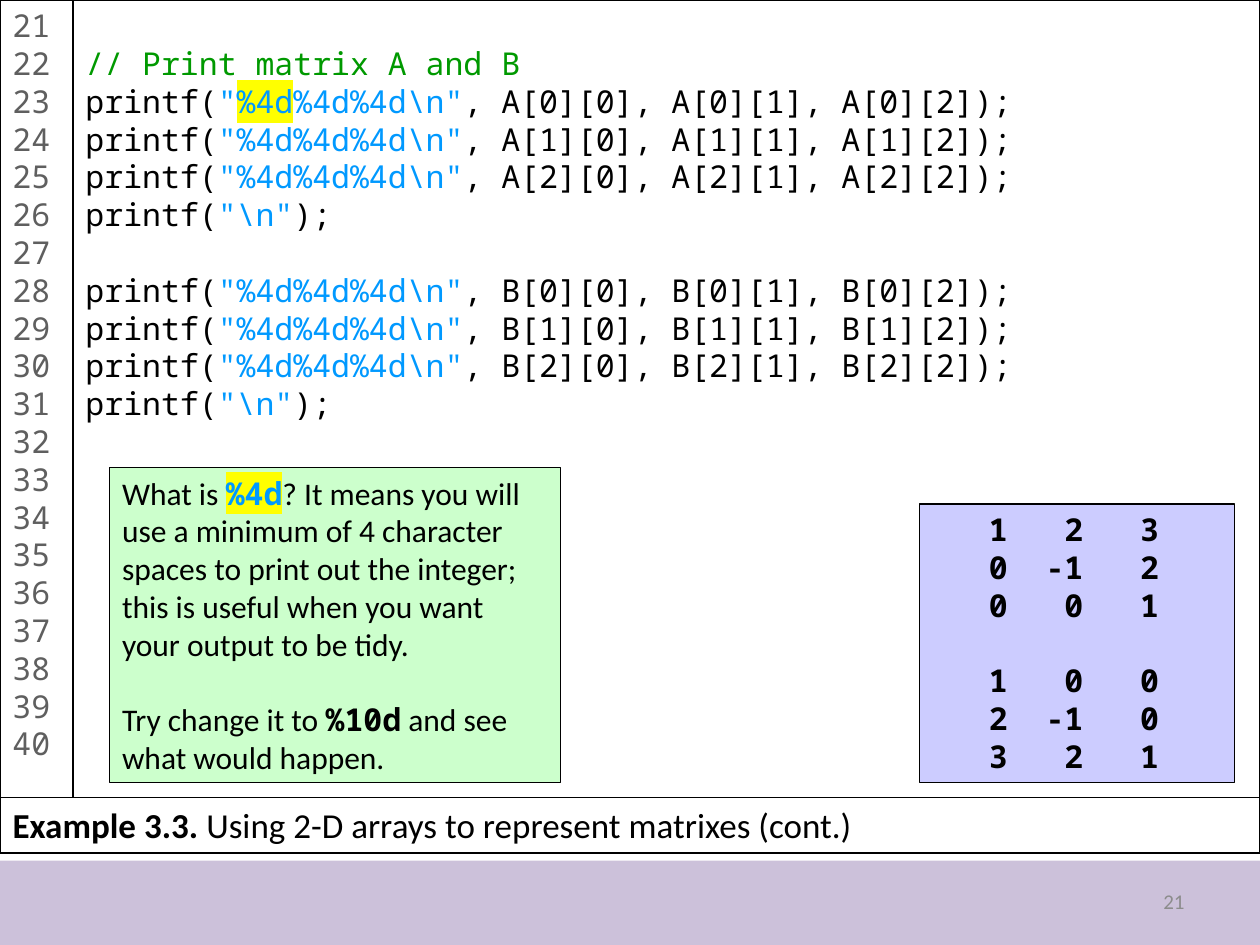
from dataclasses import dataclass

from lxml.etree import SubElement
from pptx import Presentation
from pptx.dml.color import RGBColor
from pptx.enum.shapes import MSO_SHAPE
from pptx.enum.text import MSO_ANCHOR, MSO_AUTO_SIZE, PP_ALIGN
from pptx.oxml.ns import qn
from pptx.util import Inches, Pt

MONO, SANS = "Noto Sans Mono", "Calibri"
BLACK, BLUE, YELLOW = "000000", "0099FF", "FFFF00"
PITCH = 21.6  # line pitch in points for 18 pt text


@dataclass
class Run:
    text: str
    color: str = BLACK
    font: str = MONO
    bold: bool = False
    size: float = 18
    mark: str = ""


@dataclass
class Box:
    left: float
    top: float
    width: float
    height: float
    fill: str = ""
    line: str = BLACK


Lines = list[list[Run]]


def paint(color, value: str) -> None:
    color.rgb = RGBColor.from_string(value)


def style(shape, box: Box) -> None:
    """Place a shape and give it its fill and outline."""
    for name in ("left", "top", "width", "height"):
        setattr(shape, name, Inches(getattr(box, name)))
    if box.fill:
        shape.fill.solid()
        paint(shape.fill.fore_color, box.fill)
    else:
        shape.fill.background()
    if box.line:
        paint(shape.line.color, box.line)
        shape.line.width = Pt(0.75)
    else:
        shape.line.fill.background()


def add_run(para, part: Run) -> None:
    run = para.add_run()
    run.text = part.text
    form = {"name": part.font, "size": Pt(part.size), "bold": part.bold}
    for name, value in form.items():
        setattr(run.font, name, value)
    paint(run.font.color, part.color)
    if part.mark:
        props = run.font._element
        light = SubElement(props, qn("a:highlight"))
        SubElement(light, qn("a:srgbClr"), val=part.mark)
        props.find(qn("a:solidFill")).addnext(light)


def write(shape, lines: Lines, pitch: float = 0, **form) -> None:
    """Write one paragraph per line; form overrides frame settings."""
    frame = shape.text_frame
    base = {"word_wrap": True, "auto_size": MSO_AUTO_SIZE.NONE,
            "vertical_anchor": MSO_ANCHOR.TOP}
    align = form.pop("align", PP_ALIGN.LEFT)
    for name, value in (base | form).items():
        setattr(frame, name, value)
    for i, line in enumerate(lines):
        para = frame.add_paragraph() if i else frame.paragraphs[0]
        para.alignment = align
        if pitch:
            para.line_spacing = Pt(pitch)
        if not line:
            para.font.size = Pt(18)
        for part in line:
            add_run(para, part)


def add_box(slide, box: Box, lines: Lines, **form) -> None:
    shape = slide.shapes.add_shape(MSO_SHAPE.RECTANGLE, 0, 0, 0, 0)
    shape.shadow.inherit = False
    style(shape, box)
    write(shape, lines, PITCH, **form)


def call(text: list[Run], args: str = "") -> list[Run]:
    """A printf line with its format string in blue."""
    return [Run("printf("), *text, Run(args + ");")]


def block(name: str) -> Lines:
    """The printf lines for one 3 by 3 matrix."""
    rows = []
    for i in range(3):
        args = "".join(f", {name}[{i}][{j}]" for j in range(3))
        rows.append(call([Run(r'"%4d%4d%4d\n"', BLUE)], args))
    return rows + [call([Run(r'"\n"', BLUE)])]


def grid(rows: list[tuple[int, ...]]) -> Lines:
    """Matrix rows as %4d prints them."""
    return [[Run("".join(f"{n:4d}" for n in row), bold=True)] for row in rows]


def main() -> None:
    deck = Presentation()
    deck.slide_width, deck.slide_height = Inches(10), Inches(7.5)
    slide = deck.slides.add_slide(deck.slide_layouts[5])

    # Footer band
    add_box(slide, Box(0, 6.83, 10, 0.67, "CCC1DA", ""), [])

    # Code, with the first %4d marked
    first = block("A")
    first[0][1:2] = [Run('"', BLUE), Run("%4d", BLUE, mark=YELLOW),
                     Run(r'%4d%4d\n"', BLUE)]
    code = [[], [Run("// Print matrix A and B", "009900")],
            *first, [], *block("B")]
    add_box(slide, Box(0.58, 0, 9.42, 6.33, "FFFFFF"), code)

    # Line numbers
    nums = [[Run(str(n), "5F5F5F")] for n in range(21, 41)]
    add_box(slide, Box(0, 0, 0.58, 6.33, "FFFFFF"), nums, margin_right=0)

    # Program output
    out = [*grid([(1, 2, 3), (0, -1, 2), (0, 0, 1)]), [],
           *grid([(1, 0, 0), (2, -1, 0), (3, 2, 1)])]
    add_box(slide, Box(7.3, 4, 2.5, 2.21, "CCCCFF"), out)

    # Note on the format code
    note = [
        [Run("What is ", font=SANS),
         Run("%4d", BLUE, bold=True, mark=YELLOW),
         Run("? It means you will use a minimum of 4 character spaces to "
             "print out the integer; this is useful when you want your "
             "output to be tidy.", font=SANS)],
        [],
        [Run("Try change it to ", font=SANS), Run("%10d", bold=True),
         Run(" and see what would happen.", font=SANS)],
    ]
    add_box(slide, Box(0.87, 3.71, 3.58, 2.5, "CCFFCC"), note)

    # Caption in the title placeholder
    title = slide.shapes.title
    style(title, Box(0, 6.33, 10, 0.44))
    write(title, [[
        Run("Example 3.3.", font=SANS, bold=True, size=20),
        Run(" Using 2-D arrays to represent matrixes (cont.)",
            font=SANS, size=20)]])

    # Page number
    page = slide.shapes.add_textbox(0, 0, 0, 0)
    style(page, Box(7.17, 6.95, 2.33, 0.4, line=""))
    write(page, [[Run("21", "8C8C8C", SANS, size=12)]],
          align=PP_ALIGN.RIGHT, vertical_anchor=MSO_ANCHOR.MIDDLE)

    deck.save("out.pptx")


if __name__ == "__main__":
    main()
